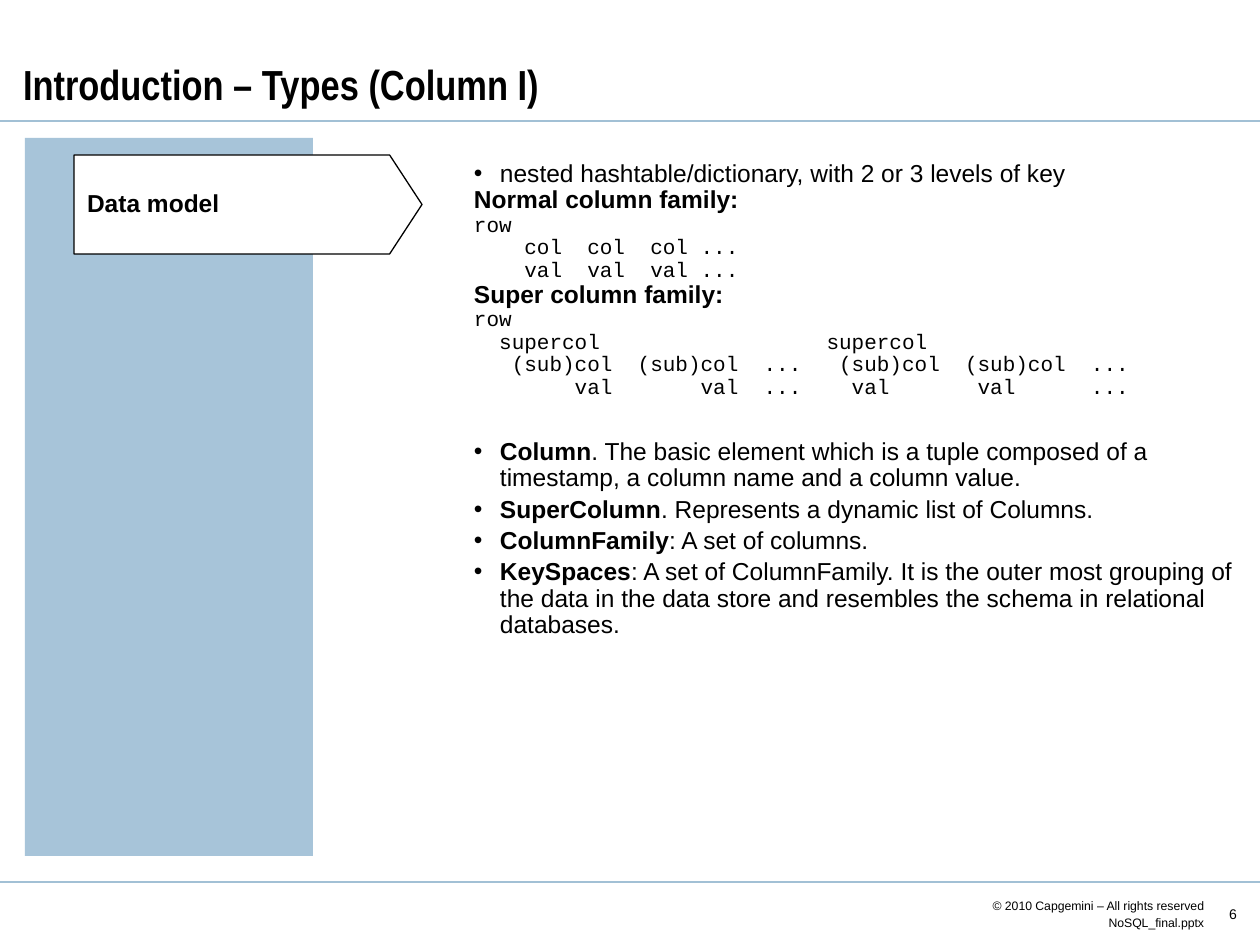
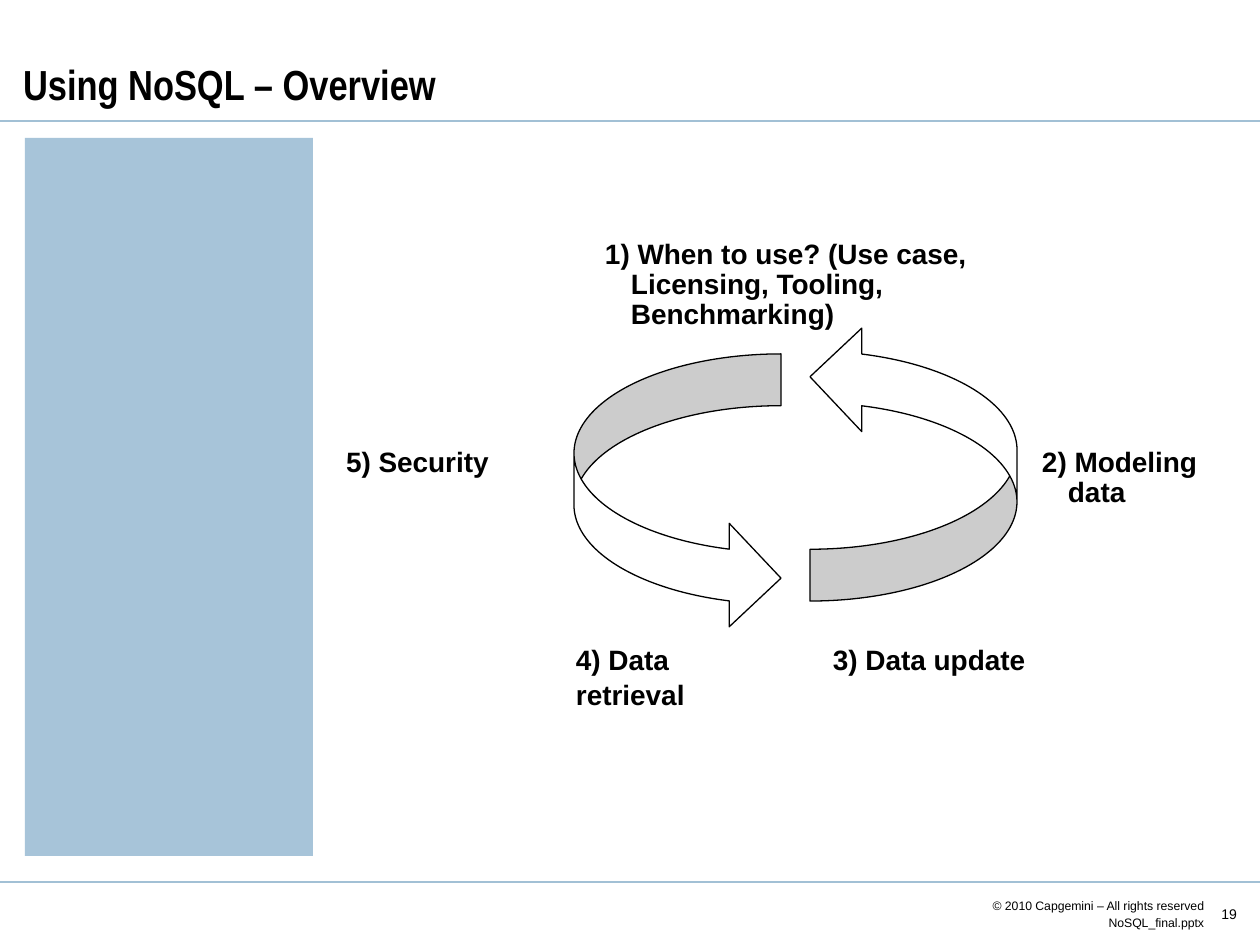
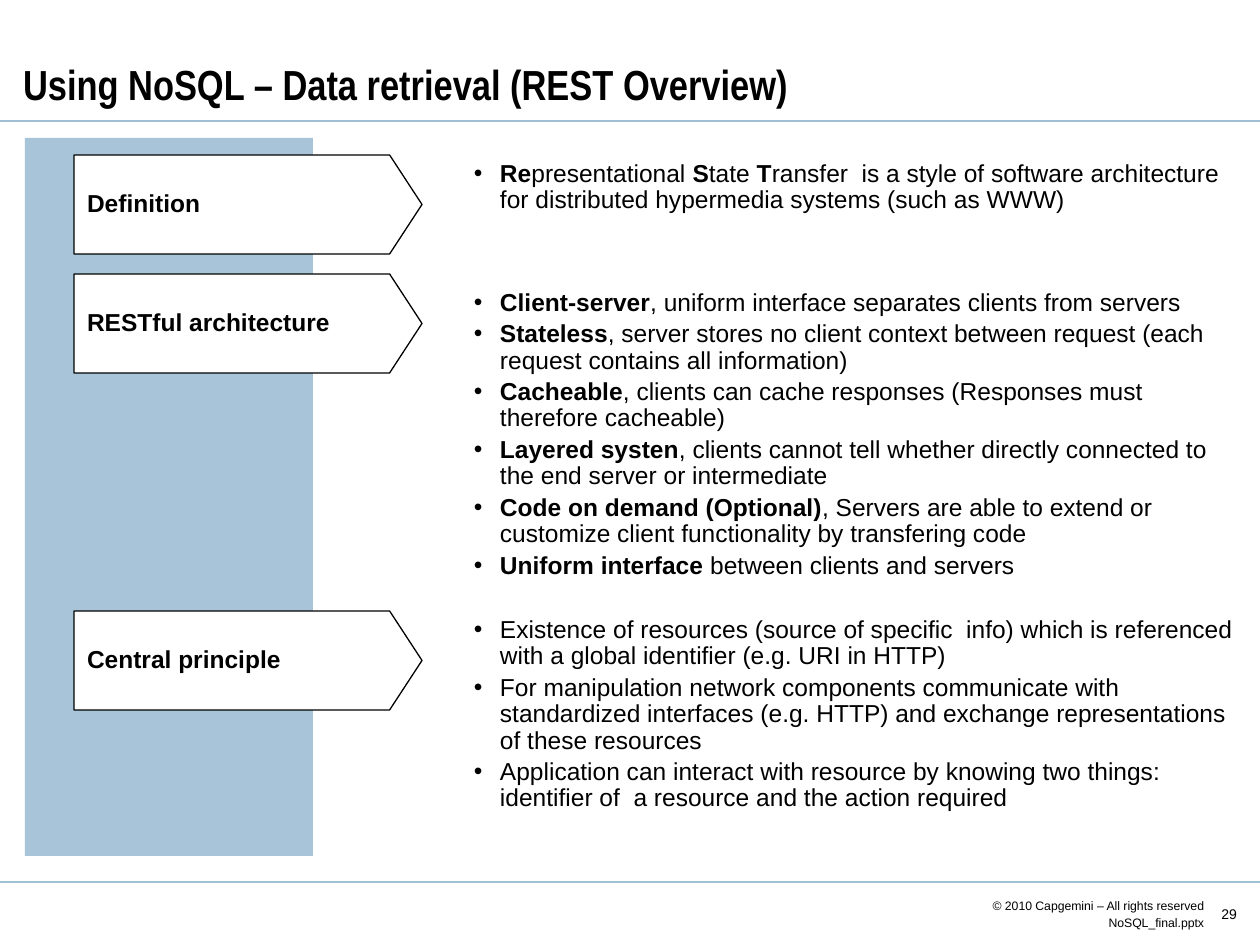
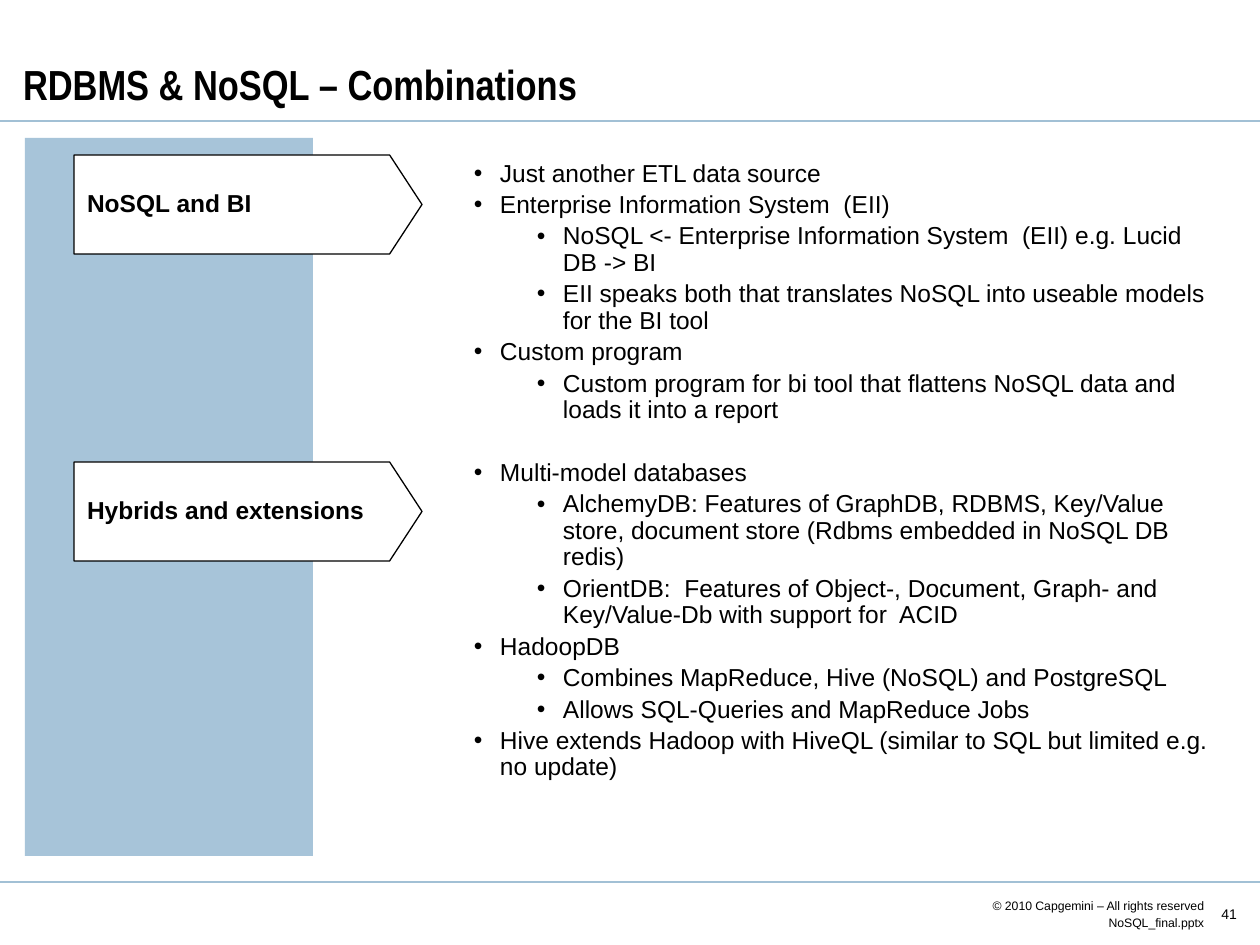
from dataclasses import dataclass

from lxml.etree import SubElement
from pptx import Presentation
from pptx.dml.color import RGBColor
from pptx.enum.shapes import MSO_CONNECTOR, MSO_SHAPE
from pptx.enum.text import MSO_ANCHOR as Anchor, PP_ALIGN as Align
from pptx.oxml.ns import qn
from pptx.util import Emu, Pt

# ---- Content: paragraphs are (style, text); *stars* enclose bold words ----
FOOTER = ["© 2010 Capgemini – All rights reserved", "NoSQL_final.pptx"]

COLUMN_MODEL = [
    ("bullet", "nested hashtable/dictionary, with 2 or 3 levels of key"),
    ("heading", "Normal column family:"),
    ("code", "row"),
    ("code", "    col  col  col ..."),
    ("code", "    val  val  val ..."),
    ("heading", "Super column family:"),
    ("code", "row"),
    ("code", "  supercol                  supercol"),
    ("code", "   (sub)col  (sub)col  ...   (sub)col  (sub)col  ..."),
    ("code", "        val       val  ...    val       val      ..."),
]
COLUMN_TERMS = [
    ("bullet", "*Column*. The basic element which is a tuple composed of a "
               "timestamp, a column name and a column value."),
    ("bullet", "*SuperColumn*. Represents a dynamic list of Columns."),
    ("bullet", "*ColumnFamily*: A set of columns."),
    ("bullet", "*KeySpaces*: A set of ColumnFamily. It is the outer most grouping of "
               "the data in the data store and resembles the schema in relational "
               "databases."),
]
REST_DEFINITION = [
    ("bullet", "*Re*presentational *S*tate *T*ransfer  is a style of software "
               "architecture for distributed hypermedia systems (such as WWW)"),
]
REST_ARCHITECTURE = [
    ("bullet", "*Client-server*, uniform interface separates clients from servers"),
    ("bullet", "*Stateless*, server stores no client context between request (each "
               "request contains all information)"),
    ("bullet", "*Cacheable*, clients can cache responses (Responses must therefore "
               "cacheable)"),
    ("bullet", "*Layered systen*, clients cannot tell whether directly connected to "
               "the end server or intermediate"),
    ("bullet", "*Code on demand (Optional)*, Servers are able to extend or customize "
               "client functionality by transfering code"),
    ("bullet", "*Uniform interface *between clients and servers"),
]
REST_PRINCIPLE = [
    ("bullet", "Existence of resources (source of specific  info) which is referenced "
               "with a global identifier (e.g. URI in HTTP)"),
    ("bullet", "For manipulation network components communicate with standardized "
               "interfaces (e.g. HTTP) and exchange representations of these resources"),
    ("bullet", "Application can interact with resource by knowing two things: "
               "identifier of  a resource and the action required"),
]
COMBINATIONS = [
    ("bullet", "Just another ETL data source"),
    ("bullet", "Enterprise Information System  (EII)"),
    ("sub", "NoSQL <- Enterprise Information System  (EII) e.g. Lucid DB -> BI"),
    ("sub", "EII speaks both that translates NoSQL into useable models for the BI tool"),
    ("bullet", "Custom program"),
    ("sub", "Custom program for bi tool that flattens NoSQL data and loads it into "
            "a report"),
    ("group", "Multi-model databases"),
    ("sub", "AlchemyDB: Features of GraphDB, RDBMS, Key/Value store, document store "
            "(Rdbms embedded in NoSQL DB redis)"),
    ("sub", "OrientDB:  Features of Object-, Document, Graph- and Key/Value-Db with "
            "support for  ACID"),
    ("bullet", "HadoopDB"),
    ("sub", "Combines MapReduce, Hive (NoSQL) and PostgreSQL"),
    ("sub", "Allows SQL-Queries and MapReduce Jobs"),
    ("bullet", "Hive extends Hadoop with HiveQL (similar to SQL but limited e.g. "
               "no update)"),
]

# Cycle steps: left, top, width, lines
CYCLE_STEPS = [
    (592, 234, 425, ["1) When to use? (Use case, Licensing, Tooling, Benchmarking)"]),
    (1029, 442, 207, ["2) Modeling data"]),
    (820, 640, 276, ["3) Data update"]),
    (563, 640, 149, ["4) Data", "retrieval"]),
    (333, 442, 208, ["5) Security"]),
]
# Cycle arrows: left, top, rotation
CYCLE_ARROWS = [(574, 354, 0), (810, 325, 180)]

# Tags are (top, label); bodies are (top, paragraphs)
SLIDES = [
    dict(number=6, title="Introduction – Types (Column I)",
         tags=[(155, "Data model")],
         bodies=[(155, COLUMN_MODEL), (433, COLUMN_TERMS)]),
    dict(number=19, title="Using NoSQL – Overview",
         steps=CYCLE_STEPS, arrows=CYCLE_ARROWS),
    dict(number=29, title="Using NoSQL – Data retrieval (REST Overview)",
         tags=[(155, "Definition"), (274, "RESTful architecture"),
               (611, "Central principle")],
         bodies=[(155, REST_DEFINITION), (284, REST_ARCHITECTURE),
                 (611, REST_PRINCIPLE)]),
    dict(number=41, title="RDBMS & NoSQL – Combinations", body_width=774,
         tags=[(155, "NoSQL and BI"), (462, "Hybrids and extensions")],
         bodies=[(155, COMBINATIONS)]),
]


# ---- Theme ----
@dataclass(frozen=True)
class TextStyle:
    size: float
    font: str = "Arial"
    bold: bool = False
    left: int = 0        # px
    hanging: int = 0     # px
    bullet: str = ""
    before: float = 0    # pt
    spacing: float = 0.9
    align: Align = Align.LEFT


class Theme:
    ink = RGBColor.from_string("000000")
    paper = RGBColor.from_string("FFFFFF")
    rule = RGBColor.from_string("A2C0D5")
    panel = RGBColor.from_string("A7C4D9")
    rule_width, outline_width = 1.5, 0.75
    styles = {
        "title": TextStyle(24, "Arial Narrow", bold=True, spacing=1),
        "footer": TextStyle(7, spacing=1, align=Align.RIGHT),
        "number": TextStyle(8, spacing=1, align=Align.RIGHT),
        "tag": TextStyle(14, bold=True),
        "step": TextStyle(16, bold=True, left=26, hanging=26, before=3.2),
        "heading": TextStyle(14, bold=True),
        "code": TextStyle(12, "Courier New"),
        "bullet": TextStyle(14, left=26, hanging=26, bullet="•", before=2.8),
        "sub": TextStyle(14, left=89, hanging=26, bullet="•", before=2.8),
        "group": TextStyle(14, left=26, hanging=26, bullet="•", before=20.8),
    }


# ---- Layout in px ----
PX = 914400 / 126
SLIDE_W, SLIDE_H = 1260, 945
RULE_TOPS = (121, 882)
TITLE_BOX = (10, 10, 1239, 105)
FOOTER_BOX, FOOTER_PITCH = (833, 897, 384, 18), 17
NUMBER_BOX = (1218, 903, 32, 21)
PANEL_BOX = (25, 138, 288, 718)
TAG_LEFT, TAG_W, TAG_H, TAG_POINT = 74, 348, 99, 0.327
BODY_LEFT, BODY_W, LINE_H = 461, 799, 49
ARROW_W, ARROW_H = 207, 276
INSET_X, INSET_Y = 13, 6


def px(length):
    return Emu(round(length * PX))


def write(shape, paragraphs, anchor=Anchor.TOP, insets=(INSET_X, INSET_Y, INSET_X, INSET_Y)):
    frame = shape.text_frame
    frame.word_wrap = True
    frame.vertical_anchor = anchor
    (frame.margin_left, frame.margin_top,
     frame.margin_right, frame.margin_bottom) = map(px, insets)
    for index, (style_name, text) in enumerate(paragraphs):
        style = Theme.styles[style_name]
        para = frame.add_paragraph() if index else frame.paragraphs[0]
        props = para._p.get_or_add_pPr()
        props.set("marL", str(px(style.left)))
        props.set("indent", str(px(-style.hanging)))
        if style.bullet:
            SubElement(props, qn("a:buFont")).set("typeface", style.font)
            SubElement(props, qn("a:buChar")).set("char", style.bullet)
        para.alignment = style.align
        para.line_spacing = style.spacing
        para.space_before = Pt(style.before if index else 0)
        for part, words in enumerate(text.split("*")):
            if words:
                run = para.add_run()
                run.text = words
                run.font.name = style.font
                run.font.size = Pt(style.size)
                run.font.bold = style.bold or part % 2 == 1
                run.font.color.rgb = Theme.ink


def add_text(slide, box, paragraphs, **options):
    write(slide.shapes.add_textbox(*map(px, box)), paragraphs, **options)


def add_block(slide, preset, box, fill, outlined=True):
    block = slide.shapes.add_shape(preset, *map(px, box))
    block.shadow.inherit = False
    block.fill.solid()
    block.fill.fore_color.rgb = fill
    if outlined:
        block.line.color.rgb = Theme.ink
        block.line.width = Pt(Theme.outline_width)
    else:
        block.line.fill.background()
    return block


def add_frame(slide, title, number):
    """Rules, footer, title and side panel, the same on every slide."""
    for top in RULE_TOPS:
        rule = slide.shapes.add_connector(
            MSO_CONNECTOR.STRAIGHT, 0, px(top), px(SLIDE_W), px(top))
        rule.line.color.rgb = Theme.rule
        rule.line.width = Pt(Theme.rule_width)
        SubElement(rule._element.spPr, qn("a:effectLst"))
    tight = dict(anchor=Anchor.MIDDLE, insets=(0, 0, INSET_X, 0))
    left, top, width, height = FOOTER_BOX
    for row, line in enumerate(FOOTER):
        add_text(slide, (left, top + row * FOOTER_PITCH, width, height),
                 [("footer", line)], **tight)
    add_text(slide, NUMBER_BOX, [("number", str(number))], **tight)
    add_text(slide, TITLE_BOX, [("title", title)], anchor=Anchor.BOTTOM)
    add_block(slide, MSO_SHAPE.RECTANGLE, PANEL_BOX, Theme.panel, outlined=False)


def build_slide(deck, title, number, tags=(), bodies=(), steps=(), arrows=(),
                body_width=BODY_W):
    slide = deck.slides.add_slide(deck.slide_layouts[6])
    add_frame(slide, title, number)
    # Topic tags and their text
    for top, label in tags:
        tag = add_block(slide, MSO_SHAPE.PENTAGON, (TAG_LEFT, top, TAG_W, TAG_H),
                        Theme.paper)
        tag.adjustments[0] = TAG_POINT
        write(tag, [("tag", label)], anchor=Anchor.MIDDLE)
    for top, paragraphs in bodies:
        add_text(slide, (BODY_LEFT, top, body_width, LINE_H), paragraphs)
    # Cycle
    for left, top, rotation in arrows:
        arrow = add_block(slide, MSO_SHAPE.CURVED_RIGHT_ARROW,
                          (left, top, ARROW_W, ARROW_H), Theme.paper)
        arrow.rotation = rotation
    for left, top, width, lines in steps:
        add_text(slide, (left, top, width, LINE_H), [("step", line) for line in lines])


def main():
    deck = Presentation()
    deck.slide_width, deck.slide_height = px(SLIDE_W), px(SLIDE_H)
    for content in SLIDES:
        build_slide(deck, **content)
    deck.save("out.pptx")


if __name__ == "__main__":
    main()
